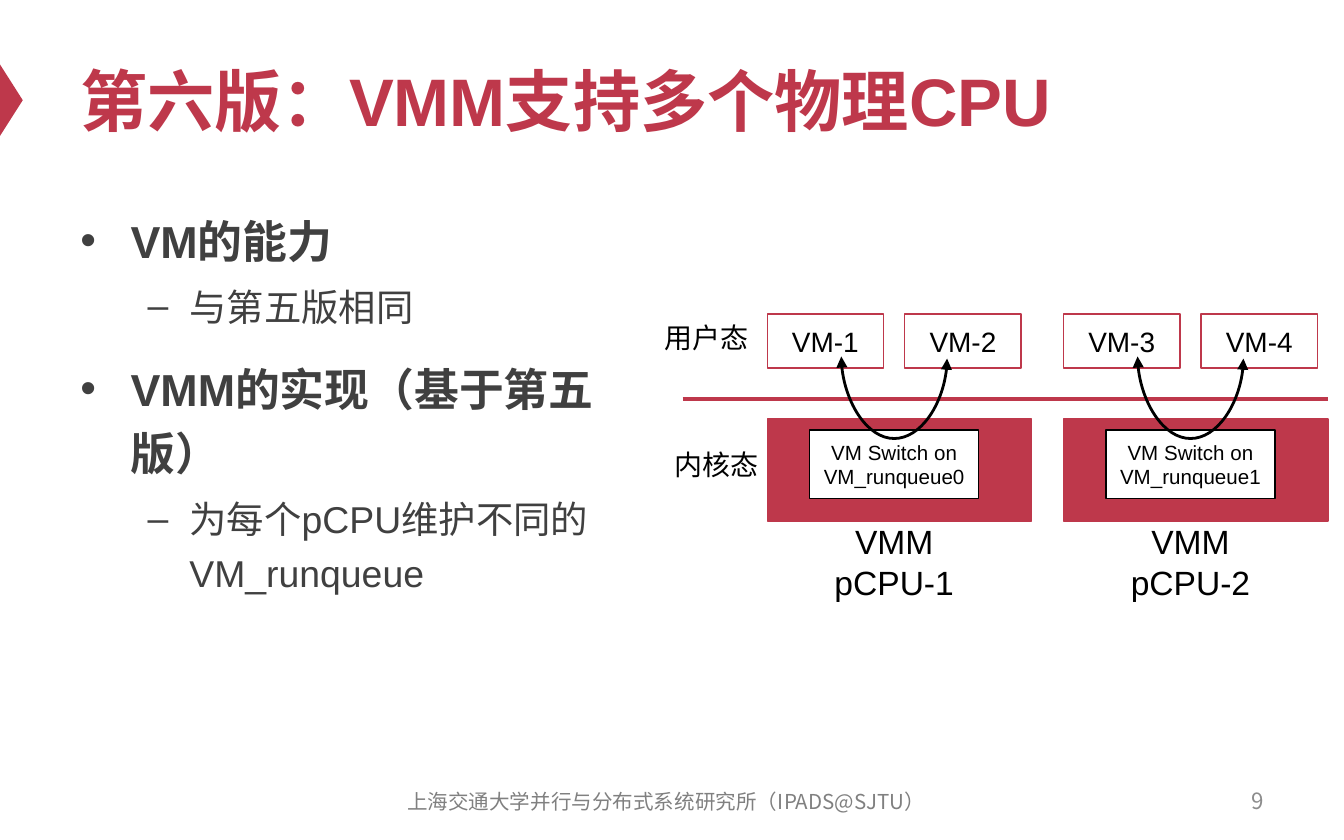
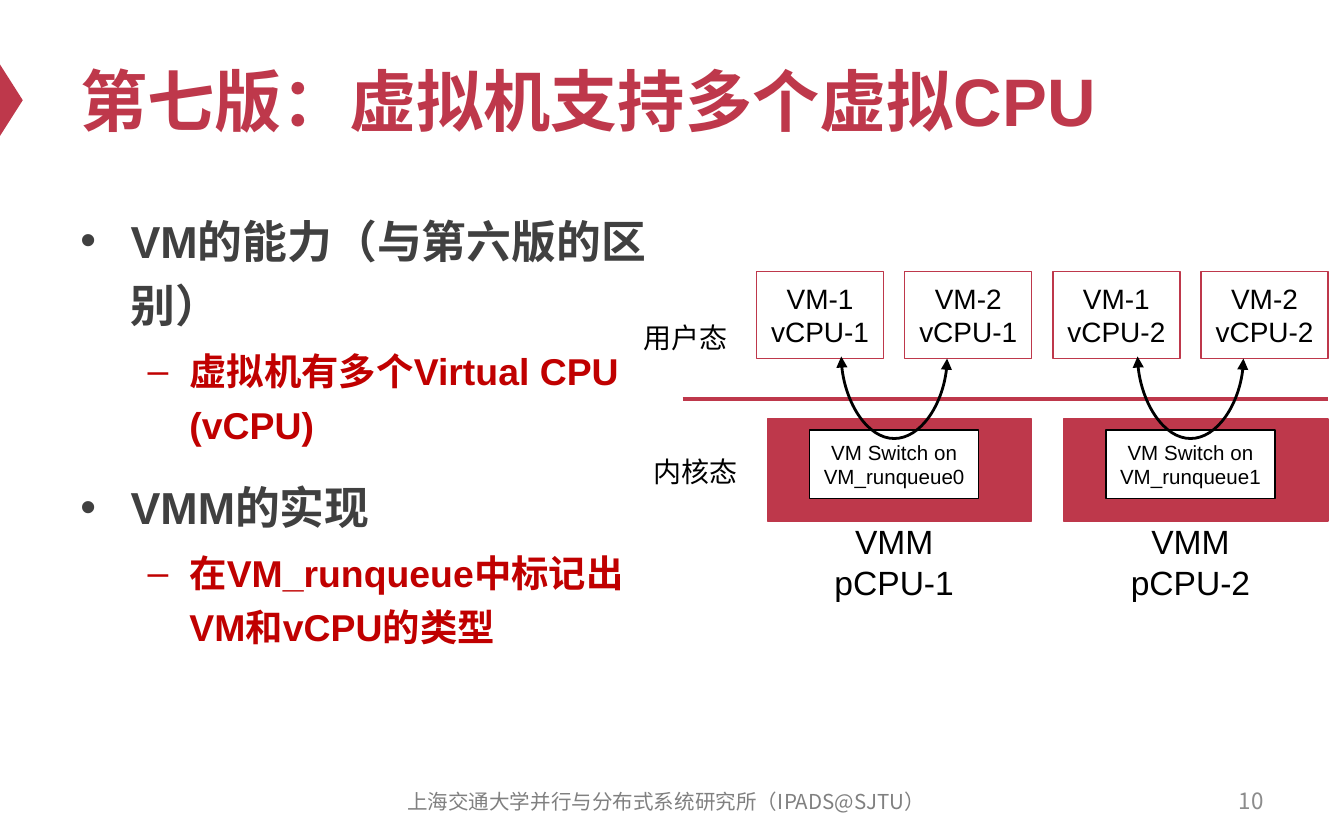
from lxml.etree import SubElement as Sub
from pptx import Presentation
from pptx.dml.color import RGBColor
from pptx.enum.shapes import MSO_CONNECTOR as Link, MSO_SHAPE as Shape
from pptx.enum.text import MSO_ANCHOR as Anchor, PP_ALIGN as Align
from pptx.oxml.ns import qn
from pptx.util import Cm, Pt

RED = RGBColor(0xBE, 0x38, 0x4B)
ALERT = RGBColor(0xC0, 0x00, 0x00)
DARK = RGBColor(0x40, 0x40, 0x40)
GREY = RGBColor(0x80, 0x80, 0x80)
PALE = RGBColor(0x8C, 0x8C, 0x8C)
BLACK = RGBColor(0, 0, 0)
WHITE = RGBColor(0xFF, 0xFF, 0xFF)
MAIN = "Arial"
SMALL = "Noto Sans CJK SC"
FOOTER = "上海交通大学并行与分布式系统研究所（IPADS@SJTU）"
LEFT = 14.5
PITCH = 5.6


def add_run(para, text, size, color=BLACK, bold=False, font=MAIN):
    """Add one run, using the font for Latin and East Asian letters alike."""
    run = para.add_run()
    run.text = text
    run.font.size = Pt(size)
    run.font.bold = bold
    run.font.name = font
    run.font.color.rgb = color
    Sub(run.font._element, qn("a:ea"), typeface=font)


def write(frame, lines, size, align=Align.CENTER, **style):
    """Fill a text frame with one paragraph per line."""
    for i, line in enumerate(lines):
        para = frame.add_paragraph() if i else frame.paragraphs[0]
        para.alignment = align
        add_run(para, line, size, **style)


def add_text(slide, box, lines, size, wrap=True, anchor=Anchor.MIDDLE, **style):
    """Add a text box; box is left, top, width and height in cm."""
    frame = slide.shapes.add_textbox(*map(Cm, box)).text_frame
    frame.word_wrap = wrap
    frame.vertical_anchor = anchor
    write(frame, lines, size, **style)


def add_box(slide, box, fill, edge, lines=(), size=15, kind=Shape.RECTANGLE):
    """Add a filled shape with centred text."""
    shape = slide.shapes.add_shape(kind, *map(Cm, box))
    shape.shadow.inherit = False
    shape.fill.solid()
    shape.fill.fore_color.rgb = fill
    shape.line.color.rgb = edge
    shape.line.width = Pt(0.75)
    frame = shape.text_frame
    frame.word_wrap = False
    frame.vertical_anchor = Anchor.MIDDLE
    write(frame, lines, size)
    return shape


def add_link(slide, kind, ends, color, width):
    """Add a connector without a shadow."""
    link = slide.shapes.add_connector(kind, *map(Cm, ends))
    link.line.color.rgb = color
    link.line.width = Pt(width)
    Sub(link._element.spPr, qn("a:effectLst"))
    return link


def add_curve(slide, mid):
    """Add a U-shaped arrow with two heads around the given centre."""
    ends = (mid + 0.02, 5.76, mid - 0.02, 7.76)
    link = add_link(slide, Link.CURVE, ends, BLACK, 1.5)
    props = link._element.spPr
    props.find(qn("a:xfrm")).set("rot", "16200000")
    geom = props.find(qn("a:prstGeom"))
    guides = geom.find(qn("a:avLst"))
    if guides is None:
        guides = Sub(geom, qn("a:avLst"))
    Sub(guides, qn("a:gd"), name="adj1", fmla="val 3878700")
    line = props.find(qn("a:ln"))
    for end in ("a:headEnd", "a:tailEnd"):
        Sub(line, qn(end), type="triangle")


def add_list(slide, items):
    """Add the bullet list; items are level, text, colour and bold."""
    frame = slide.shapes.add_textbox(*map(Cm, (1.27, 3.71, 11.43, 10.44))).text_frame
    frame.word_wrap = True
    looks = [("•", 0.95, 0.95, 24, 12), ("–", 2.06, 0.79, 20, 4)]
    for i, (level, text, color, bold) in enumerate(items):
        mark, indent, hang, size, gap = looks[level]
        para = frame.add_paragraph() if i else frame.paragraphs[0]
        para.level = level
        props = para._p.get_or_add_pPr()
        props.set("marL", str(Cm(indent)))
        props.set("indent", str(-Cm(hang)))
        Sub(props, qn("a:buFont"), typeface=MAIN)
        Sub(props, qn("a:buChar"), char=mark)
        para.line_spacing = 1.2
        if i:
            para.space_before = Pt(gap)
        add_run(para, text, size, color, bold)


def add_base(deck, title, page):
    """Add a slide with its marker, title, page number and footer."""
    slide = deck.slides.add_slide(deck.slide_layouts[6])
    mark = add_box(slide, (-0.46, 1.68, 1.35, 0.43), RED, RED, kind=Shape.ISOSCELES_TRIANGLE)
    mark.rotation = 90
    mark.line.fill.background()
    add_text(slide, (1.27, 0.64, 22.86, 2.49), [title], 36, align=Align.LEFT, color=RED, bold=True)
    add_text(slide, (18.21, 14.71, 5.92, 0.84), [str(page)], 12,
             align=Align.RIGHT, color=PALE, font=SMALL)
    add_text(slide, (7.09, 14.73, 11, 0.84), [FOOTER], 11, color=GREY, font=SMALL)
    return slide


def add_modes(slide, left, low):
    """Add the line between user and kernel mode and both labels."""
    add_link(slide, Link.STRAIGHT, (12.9, 7.54, 25.1, 7.54), RED, 2)
    for text, x, y in (("用户态", left, 5.94), ("内核态", left + 0.2, low)):
        add_text(slide, (x, y, 2.1, 0.9), [text], 15, wrap=False, anchor=Anchor.TOP)


def add_cores(slide, names, shift, step, top, width, height):
    """Add two physical CPUs, each switching between two virtual machines."""
    for i in range(2):
        x = LEFT + i * PITCH
        add_box(slide, (x, 7.92, 5, 1.93), RED, RED)
        add_text(slide, (x + 1, 9.73, 2.8, 1.8), ["VMM", f"pCPU-{i + 1}"], 18,
                 wrap=False, anchor=Anchor.TOP)
        add_box(slide, (x + 0.8, 8.13, 3.2, 1.3), WHITE, BLACK,
                ["VM Switch on", f"VM_runqueue{i}"], 11)
        for j, lines in enumerate(names[2 * i:2 * i + 2]):
            add_box(slide, (x + shift + j * step, top, width, height), WHITE, RED, lines)
        add_curve(slide, x + 2.4)


def main():
    """Build both slides and save the deck."""
    deck = Presentation()
    deck.slide_width, deck.slide_height = Cm(25.4), Cm(15.88)

    slide = add_base(deck, "第六版：VMM支持多个物理CPU", 9)
    add_list(slide, [
        (0, "VM的能力", DARK, True),
        (1, "与第五版相同", DARK, False),
        (0, "VMM的实现（基于第五版）", DARK, True),
        (1, "为每个pCPU维护不同的VM_runqueue", DARK, False),
    ])
    add_modes(slide, 12.3, 8.33)
    names = [[f"VM-{n}"] for n in range(1, 5)]
    add_cores(slide, names, shift=0, step=2.6, top=5.94, width=2.2, height=1.02)

    slide = add_base(deck, "第七版：虚拟机支持多个虚拟CPU", 10)
    add_list(slide, [
        (0, "VM的能力（与第六版的区别）", DARK, True),
        (1, "虚拟机有多个Virtual CPU (vCPU)", ALERT, True),
        (0, "VMM的实现", DARK, True),
        (1, "在VM_runqueue中标记出VM和vCPU的类型", ALERT, True),
    ])
    add_modes(slide, 11.9, 8.46)
    names = [[f"VM-{n}", f"vCPU-{c}"] for c in (1, 2) for n in (1, 2)]
    add_cores(slide, names, shift=-0.2, step=2.8, top=5.13, width=2.4, height=1.65)

    deck.save("out.pptx")


if __name__ == "__main__":
    main()
